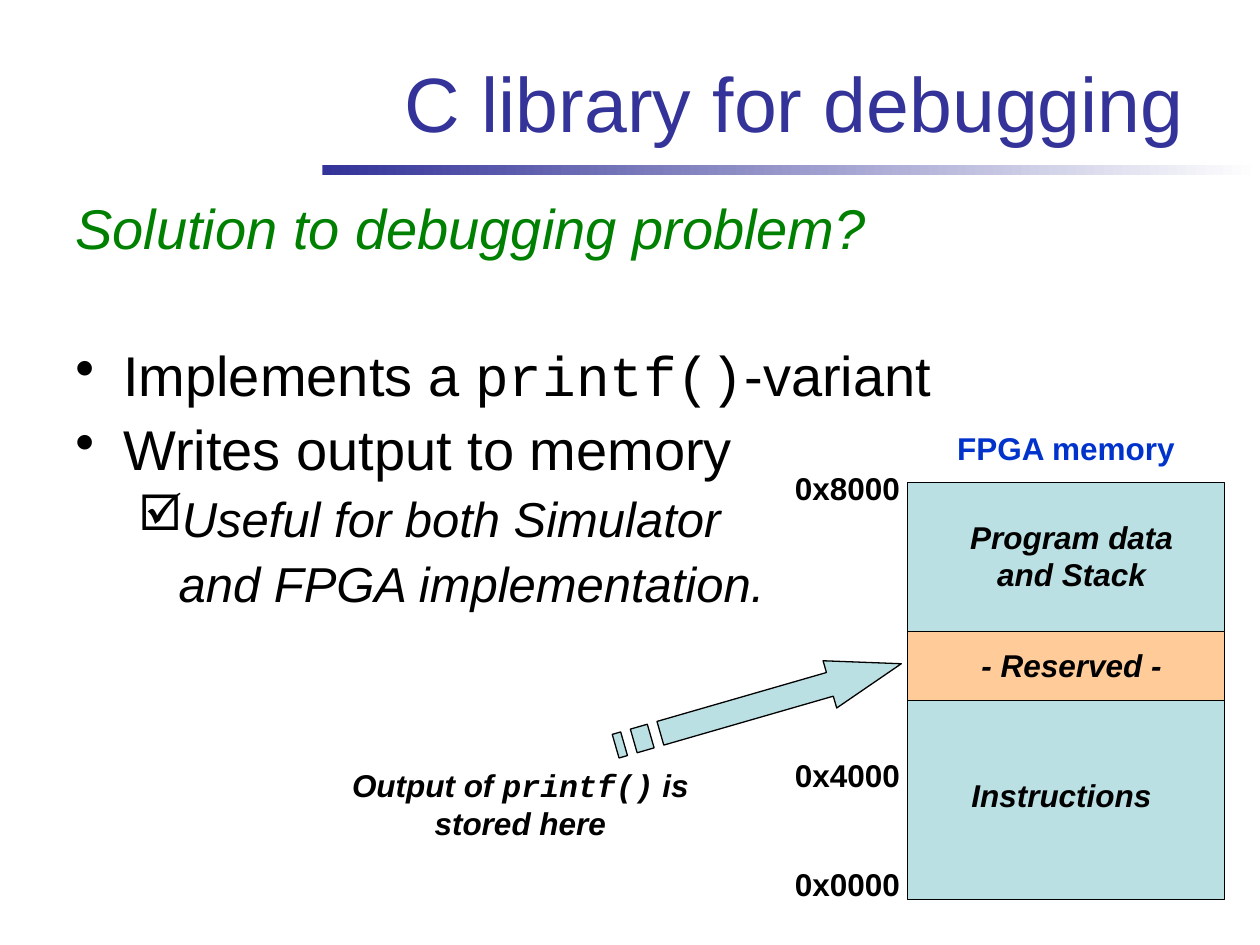
import pptx
import pptx.dml.color
import pptx.enum.shapes
import pptx.enum.text
import pptx.oxml.ns
import pptx.util
from lxml import etree
from pptx.util import Inches

BLACK = "000000"
NAVY = "333399"
TEAL = "BBE0E3"
MEMORY_LEFT, MEMORY_WIDTH = 7.2, 2.52


def color(value):
    return pptx.dml.color.RGBColor.from_string(value)


def add_runs(paragraph, pieces, size, hue, bold=False, italic=False):
    for text, font_name in pieces:
        run = paragraph.add_run()
        run.text = text
        run.font.name = font_name
        run.font.size = pptx.util.Pt(size)
        run.font.bold = bold
        run.font.italic = italic
        run.font.color.rgb = color(hue)


def add_text_frame(slide, left, top, width, height):
    shape = slide.shapes.add_textbox(Inches(left), Inches(top), Inches(width), Inches(height))
    shape.text_frame.word_wrap = True
    return shape.text_frame


def add_label(slide, box, pieces, hue=BLACK, italic=False):
    frame = add_text_frame(slide, *box)
    frame.auto_size = pptx.enum.text.MSO_AUTO_SIZE.SHAPE_TO_FIT_TEXT
    paragraph = frame.paragraphs[0]
    paragraph.alignment = pptx.enum.text.PP_ALIGN.CENTER
    add_runs(paragraph, pieces, 18, hue, bold=True, italic=italic)


def style_shape(shape, fill):
    shape.shadow.inherit = False
    shape.fill.solid()
    shape.fill.fore_color.rgb = color(fill)
    shape.line.color.rgb = color(BLACK)
    shape.line.width = pptx.util.Pt(0.75)


def add_rectangle(slide, left, top, width, height):
    return slide.shapes.add_shape(
        pptx.enum.shapes.MSO_SHAPE.RECTANGLE,
        Inches(left), Inches(top), Inches(width), Inches(height))


def add_title(slide):
    bar = add_rectangle(slide, 2.56, 1.31, 7.44, 0.08)
    bar.shadow.inherit = False
    bar.line.fill.background()
    bar.fill.gradient()
    bar.fill.gradient_angle = 0
    for stop, hue in zip(bar.fill.gradient_stops, (NAVY, "FFFFFF")):
        stop.color.rgb = color(hue)
    frame = add_text_frame(slide, 0.5, 0.3, 9, 1.01)
    frame.vertical_anchor = pptx.enum.text.MSO_ANCHOR.MIDDLE
    paragraph = frame.paragraphs[0]
    paragraph.alignment = pptx.enum.text.PP_ALIGN.RIGHT
    add_runs(paragraph, [("C library for debugging", "Arial")], 44, NAVY)


def set_bullet(paragraph, margin, indent, bullet):
    properties = paragraph._p.get_or_add_pPr()
    properties.set("marL", str(Inches(margin)))
    properties.set("indent", str(Inches(indent)))
    if bullet:
        bullet_color = etree.SubElement(properties, pptx.oxml.ns.qn("a:buClr"))
        etree.SubElement(bullet_color, pptx.oxml.ns.qn("a:srgbClr")).set("val", BLACK)
        etree.SubElement(properties, pptx.oxml.ns.qn("a:buChar")).set("char", bullet)
    else:
        etree.SubElement(properties, pptx.oxml.ns.qn("a:buNone"))


def add_body(slide):
    frame = add_text_frame(slide, 0.5, 1.55, 9, 5.67)
    printf_line = [("Implements a ", "Arial"), ("printf()", "Courier New"), ("-variant", "Arial")]
    lines = [
        ([("Solution to debugging problem?", "Arial")], 32, "008000", True, 0, 0.38, -0.38, None),
        (printf_line, 32, BLACK, False, 49, 0.38, -0.38, "•"),
        ([("Writes output to memory", "Arial")], 32, BLACK, False, 8, 0.38, -0.38, "•"),
        ([("Useful for both Simulator", "Arial")], 28, BLACK, True, 7, 0.81, -0.31, "☑"),
        ([("and FPGA implementation.", "Arial")], 28, BLACK, True, 7, 0.82, 0, None),
    ]
    for index, (pieces, size, hue, italic, before, margin, indent, bullet) in enumerate(lines):
        paragraph = frame.add_paragraph() if index else frame.paragraphs[0]
        set_bullet(paragraph, margin, indent, bullet)
        paragraph.level = 1 if size == 28 else 0
        paragraph.line_spacing = 0.9
        paragraph.space_before = pptx.util.Pt(before)
        add_runs(paragraph, pieces, size, hue, italic=italic)


def add_memory_map(slide):
    add_label(slide, (MEMORY_LEFT, 3.36, MEMORY_WIDTH, 0.4), [("FPGA memory", "Arial")], "0033CC")
    regions = [
        ("Program data and Stack", 3.83, 1.18, TEAL, (7.44, 4.06, 2.13, 0.7)),
        ("- Reserved -", 5.01, 0.55, "FFCC99", (7.44, 5.08, 2.13, 0.4)),
        ("Instructions", 5.56, 1.58, TEAL, (7.36, 6.11, 2.13, 0.4)),
    ]
    for name, top, height, fill, label_box in regions:
        style_shape(add_rectangle(slide, MEMORY_LEFT, top, MEMORY_WIDTH, height), fill)
        add_label(slide, label_box, [(name, "Arial")], italic=True)
    for address, top in (("0x8000", 3.67), ("0x4000", 5.95), ("0x0000", 6.82)):
        add_label(slide, (5.94, top, 1.57, 0.4), [(address, "Arial")])


def add_striped_arrow(slide):
    left, top, width, height = 4.84, 5.4, 2.36, 0.39
    upper, lower = height / 4, height * 3 / 4
    neck = 1.77
    stripes = [
        [(start, upper), (end, upper), (end, lower), (start, lower)]
        for start, end in ((0, 0.07), (0.15, 0.29))
    ]
    arrow = [(0.37, upper), (neck, upper), (neck, 0), (width, height / 2),
             (neck, height), (neck, lower), (0.37, lower)]
    contours = [
        [(Inches(left + x), Inches(top + y)) for x, y in outline]
        for outline in [arrow] + stripes
    ]
    builder = slide.shapes.build_freeform(*contours[0][0])
    for index, contour in enumerate(contours):
        if index:
            builder.move_to(*contour[0])
        builder.add_line_segments(contour[1:], close=True)
    shape = builder.convert_to_shape()
    shape.rotation = 343.9
    style_shape(shape, TEAL)


def main():
    presentation = pptx.Presentation()
    presentation.slide_width = Inches(10)
    presentation.slide_height = Inches(7.5)
    slide = presentation.slides.add_slide(presentation.slide_layouts[6])
    add_title(slide)
    add_body(slide)
    add_memory_map(slide)
    add_striped_arrow(slide)
    caption = [("Output of ", "Arial"), ("printf()", "Courier New"), (" is stored here", "Arial")]
    add_label(slide, (2.4, 6.03, 3.46, 0.7), caption, italic=True)
    presentation.save("out.pptx")


if __name__ == "__main__":
    main()
